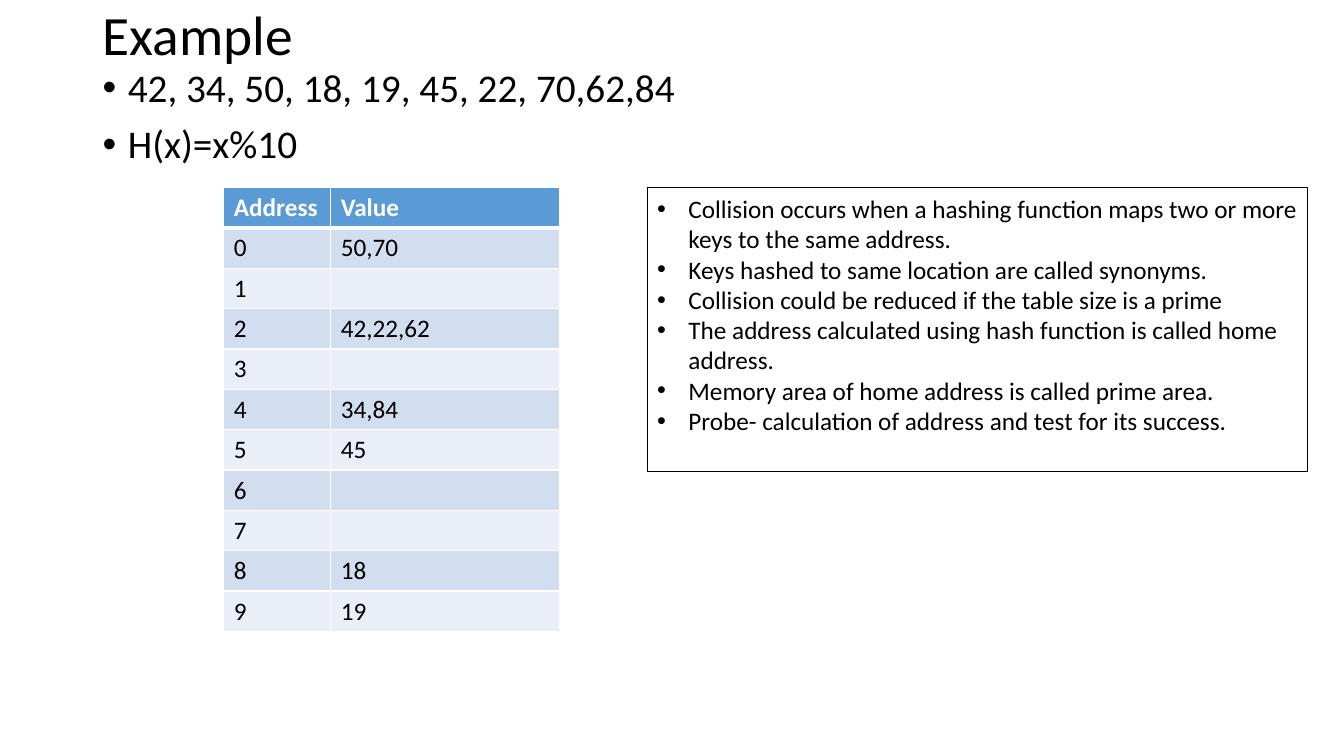
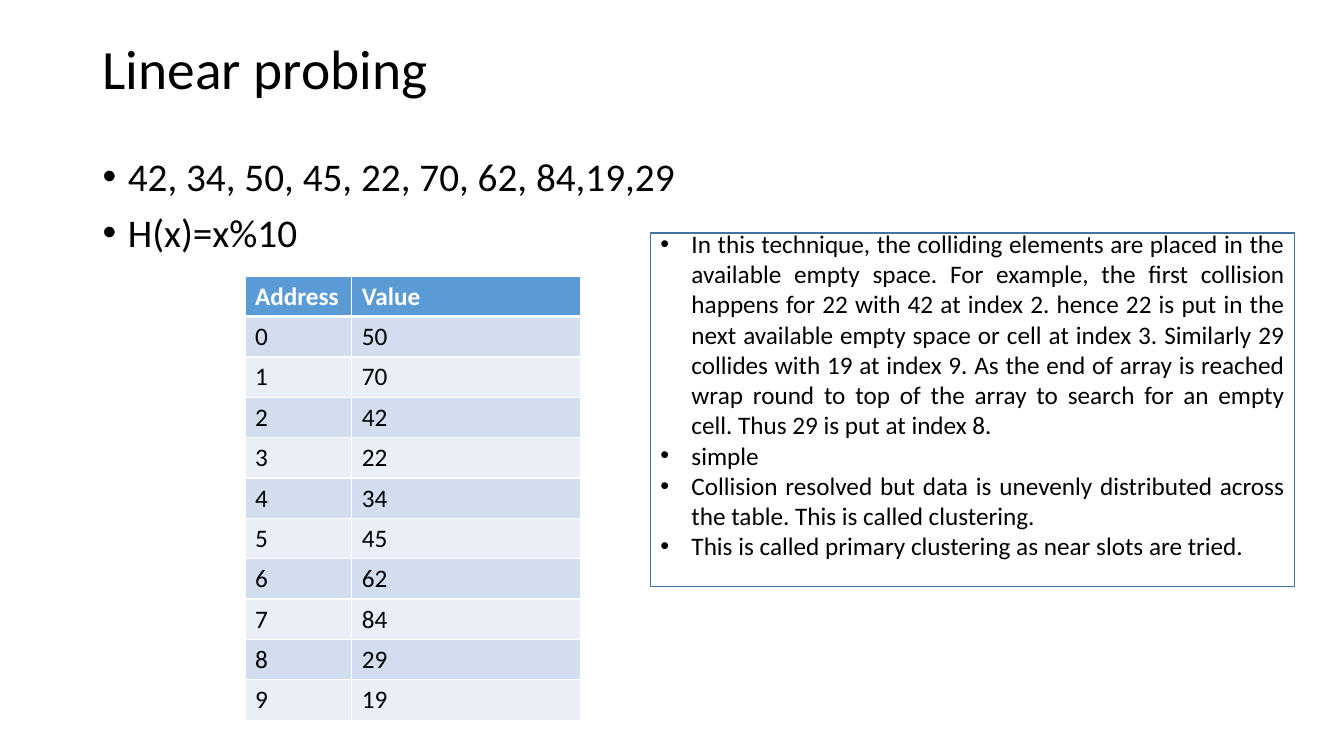
from dataclasses import dataclass

from lxml.etree import SubElement
from pptx import Presentation
from pptx.dml.color import RGBColor as Color
from pptx.enum.shapes import MSO_SHAPE as Preset
from pptx.enum.text import MSO_ANCHOR as Anchor, PP_ALIGN as Align
from pptx.oxml.ns import qn
from pptx.util import Inches, Pt


@dataclass(frozen=True)
class Theme:
    font: str = "Calibri"
    text: str = "000000"
    paper: str = "FFFFFF"
    accent: str = "5B9BD5"
    band_dark: str = "D2DEEF"
    band_light: str = "EAEFF7"
    note_line: str = "43739E"
    title_size: float = 39.6
    body_size: float = 28
    note_size: float = 18


THEME = Theme()
LEFT, WIDTH = 0.92, 11.5
COLUMNS = (1.06, 2.27)
ROW_HEIGHT = 0.4


def set_bullet(paragraph, indent):
    properties = paragraph._p.get_or_add_pPr()
    properties.set("marL", str(Inches(indent)))
    properties.set("indent", str(-Inches(indent)))
    SubElement(properties, qn("a:buFont"), typeface="Arial")
    SubElement(properties, qn("a:buChar"), char="•")


def write_text(frame, lines, size, color=THEME.text, bold=False, indent=0,
               align=Align.LEFT, line_spacing=None, space_before=0):
    """Fill a text frame, one paragraph for each line."""
    for index, line in enumerate(lines):
        paragraph = frame.add_paragraph() if index else frame.paragraphs[0]
        paragraph.alignment = align
        if line_spacing:
            paragraph.line_spacing = line_spacing
        if index and space_before:
            paragraph.space_before = Pt(space_before)
        if indent:
            set_bullet(paragraph, indent)
        run = paragraph.add_run()
        run.text = line
        run.font.name = THEME.font
        run.font.size = Pt(size)
        run.font.bold = bold
        run.font.color.rgb = Color.from_string(color)


def add_text(slide, lines, top, height, size, anchor=Anchor.TOP, **text_format):
    box = slide.shapes.add_textbox(*map(Inches, (LEFT, top, WIDTH, height)))
    frame = box.text_frame
    frame.word_wrap = True
    frame.vertical_anchor = anchor
    write_text(frame, lines, size, line_spacing=0.9, **text_format)


def add_title(slide, text, top, height):
    add_text(slide, [text], top, height, THEME.title_size, anchor=Anchor.MIDDLE)


def add_body(slide, lines, top, height):
    add_text(slide, lines, top, height, THEME.body_size, indent=0.25, space_before=10)


def set_borders(cell, top=1, bottom=1):
    properties = cell._tc.get_or_add_tcPr()
    sides = (("L", 1), ("R", 1), ("T", top), ("B", bottom))
    for index, (side, width) in enumerate(sides):
        line = SubElement(properties, qn(f"a:ln{side}"), w=str(Pt(width)))
        fill = SubElement(line, qn("a:solidFill"))
        SubElement(fill, qn("a:srgbClr"), val=THEME.paper)
        properties.insert(index, line)  # borders come before the cell fill


def add_hash_table(slide, values, left, top):
    """Draw the addresses from 0 with the value stored at each."""
    rows = [("Address", "Value")]
    rows += [(str(address), value) for address, value in enumerate(values)]
    frame = slide.shapes.add_table(
        len(rows), len(COLUMNS), Inches(left), Inches(top),
        Inches(sum(COLUMNS)), Inches(ROW_HEIGHT * len(rows)))
    table = frame.table
    for column, width in zip(table.columns, COLUMNS):
        column.width = Inches(width)
    for row_index, row in enumerate(rows):
        table.rows[row_index].height = Inches(ROW_HEIGHT)
        header = row_index == 0
        band = THEME.band_dark if row_index % 2 else THEME.band_light
        for column_index, text in enumerate(row):
            cell = table.cell(row_index, column_index)
            cell.fill.solid()
            cell.fill.fore_color.rgb = Color.from_string(THEME.accent if header else band)
            set_borders(cell, top=3 if row_index == 1 else 1, bottom=3 if header else 1)
            write_text(cell.text_frame, [text], THEME.note_size, bold=header,
                       color=THEME.paper if header else THEME.text)


def add_note(slide, lines, position, line_color, align=Align.LEFT):
    shape = slide.shapes.add_shape(Preset.RECTANGLE, *map(Inches, position))
    shape.shadow.inherit = False
    shape.fill.solid()
    shape.fill.fore_color.rgb = Color.from_string(THEME.paper)
    shape.line.color.rgb = Color.from_string(line_color)
    shape.line.width = Pt(1)
    frame = shape.text_frame
    frame.word_wrap = True
    frame.vertical_anchor = Anchor.MIDDLE
    frame.margin_bottom = Inches(0.35)  # one free line under the text
    write_text(frame, lines, THEME.note_size, indent=0.31, align=align)


def build_example(slide):
    add_title(slide, "Example", 0.11, 0.52)
    add_body(slide, ["42, 34, 50, 18, 19, 45, 22, 70,62,84", "H(x)=x%10"], 0.63, 6.75)
    values = ["50,70", "", "42,22,62", "", "34,84", "45", "", "", "18", "19"]
    add_hash_table(slide, values, 2.22, 1.86)
    add_note(slide, [
        "Collision occurs when a hashing function maps two or more keys to the same address.",
        "Keys hashed to same location are called synonyms.",
        "Collision could be reduced if the table size is a prime",
        "The address calculated using hash function is called home address.",
        "Memory area of home address is called prime area.",
        "Probe- calculation of address and test for its success.",
    ], (6.42, 1.86, 6.55, 2.82), THEME.text)


def build_linear_probing(slide):
    add_title(slide, "Linear probing", 0.4, 0.61)
    add_body(slide, ["42, 34, 50, 45, 22, 70, 62, 84,19,29", "H(x)=x%10"], 1.51, 5.83)
    values = ["50", "70", "42", "22", "34", "45", "62", "84", "29", "19"]
    add_hash_table(slide, values, 2.43, 2.74)
    add_note(slide, [
        "In this technique, the colliding elements are placed in the available empty space. "
        "For example, the first collision happens for 22 with 42 at index 2. hence 22 is put "
        "in the next available empty space or cell at index 3. Similarly 29 collides with 19 "
        "at index 9. As the end of array is reached wrap round to top of the array to search "
        "for an empty cell. Thus 29 is put at index 8.",
        "simple",
        "Collision resolved but data is unevenly distributed across the table. "
        "This is called clustering.",
        "This is called primary clustering as near slots are tried.",
    ], (6.45, 2.31, 6.39, 3.51), THEME.note_line, align=Align.JUSTIFY)


def main():
    presentation = Presentation()
    presentation.slide_width = Inches(13.33)
    presentation.slide_height = Inches(7.5)
    blank = presentation.slide_layouts[6]
    for build in (build_example, build_linear_probing):
        build(presentation.slides.add_slide(blank))
    presentation.save("out.pptx")


if __name__ == "__main__":
    main()
